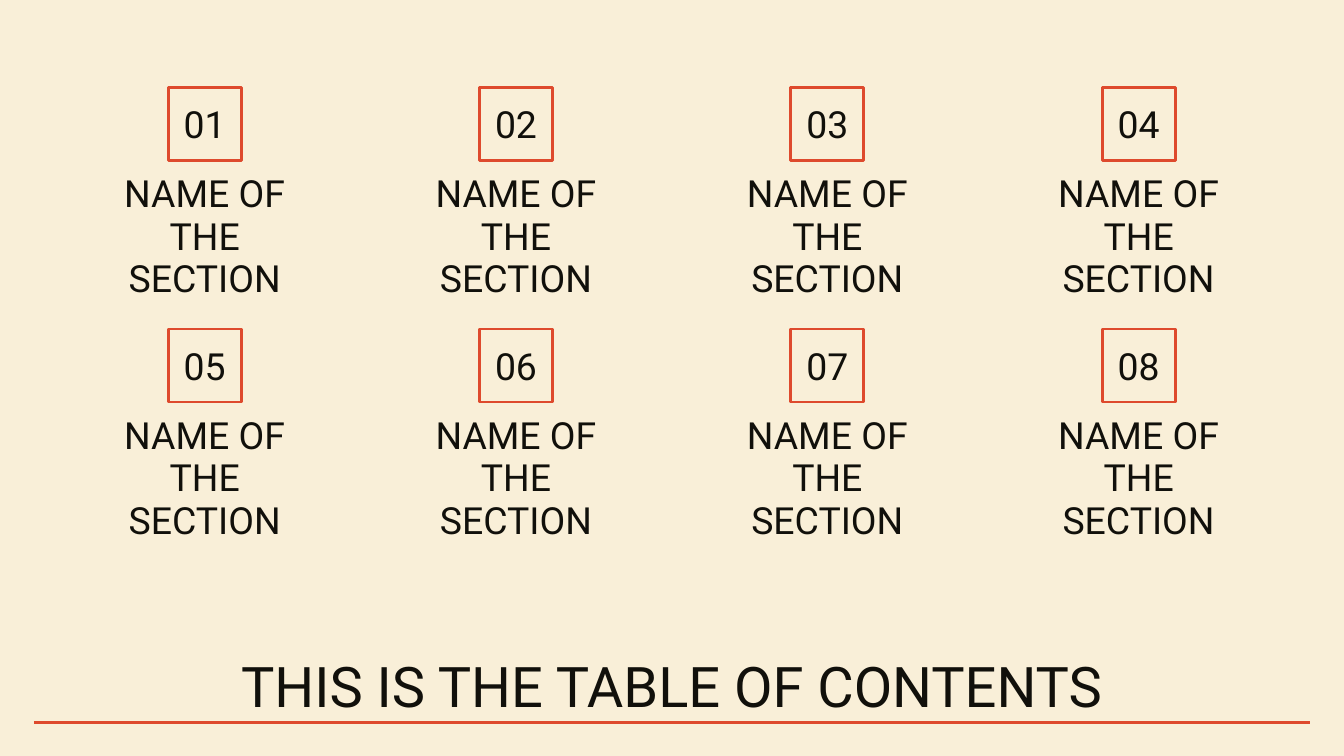
from lxml.etree import SubElement
from pptx import Presentation
from pptx.dml.color import RGBColor
from pptx.enum.shapes import MSO_CONNECTOR as Connector, MSO_SHAPE as Shape
from pptx.enum.text import MSO_ANCHOR as Anchor, PP_ALIGN as Align
from pptx.oxml.ns import qn
from pptx.util import Cm, Pt

CREAM, INK, RED = "F9EFD8", "11100B", "DE4A2D"
INSET = Cm(0.25)
FRAME_FORMAT = {
    "word_wrap": True,
    "margin_left": INSET,
    "margin_right": INSET,
    "margin_top": INSET,
    "margin_bottom": INSET,
}


def color(value):
    """Turn a hex string into a colour."""
    return RGBColor.from_string(value)


def apply(target, values):
    """Set each attribute named in a dict of format values."""
    for name, value in values.items():
        setattr(target, name, value)


def write(box, text, size, anchor=Anchor.TOP, spacing=1.0):
    """Put one centred paragraph in a box."""
    frame = box.text_frame
    apply(frame, {**FRAME_FORMAT, "vertical_anchor": anchor})
    para = frame.paragraphs[0]
    apply(para, {"alignment": Align.CENTER, "line_spacing": spacing})
    span = para.add_run()
    span.text = text
    apply(span.font, {"name": "Roboto", "size": Pt(size)})
    span.font.color.rgb = color(INK)


def outline(line):
    """Give a line the red stroke."""
    line.color.rgb = color(RED)
    line.width = Pt(1.5)


def add_title(page, left, top, width, height):
    """Place the title and the rule along the bottom of its box."""
    box = page.shapes.add_textbox(Cm(left), Cm(top), Cm(width), Cm(height))
    write(box, "THIS IS THE TABLE OF CONTENTS", 30)
    bottom = Cm(top + height - 0.02)
    rule = page.shapes.add_connector(
        Connector.STRAIGHT, Cm(left), bottom, Cm(left + width), bottom)
    outline(rule.line)
    SubElement(rule.element.spPr, qn("a:effectLst"))


def add_section(page, number, left, top, width, height):
    """Place a numbered square with the section name below it."""
    side = 1.38
    square = page.shapes.add_shape(
        Shape.RECTANGLE, Cm(left + (width - side) / 2), Cm(top), Cm(side), Cm(side))
    square.shadow.inherit = False
    square.fill.background()
    outline(square.line)
    write(square, f"{number:02d}", 20, Anchor.MIDDLE)
    label = page.shapes.add_textbox(
        Cm(left), Cm(top + side), Cm(width), Cm(height - side))
    write(label, "NAME OF THE SECTION", 20, spacing=0.95)


def add_sections(page, left, top, width, height, columns=4, rows=2):
    """Spread the sections evenly over a grid."""
    cell_width, cell_height = 3.78, 3.51
    step_x = (width - cell_width) / (columns - 1)
    step_y = (height - cell_height) / (rows - 1)
    for index in range(columns * rows):
        row, column = divmod(index, columns)
        add_section(page, index + 1, left + column * step_x, top + row * step_y,
                    cell_width, cell_height)


def main():
    """Build the contents slide."""
    deck = Presentation()
    apply(deck, {"slide_width": Cm(25.4), "slide_height": Cm(14.29)})
    page = deck.slides.add_slide(deck.slide_layouts[6])
    page.background.fill.solid()
    page.background.fill.fore_color.rgb = color(CREAM)
    add_sections(page, 1.98, 1.65, 21.43, 8.08)
    add_title(page, 0.64, 12.07, 24.12, 1.6)
    deck.save("out.pptx")


if __name__ == "__main__":
    main()
